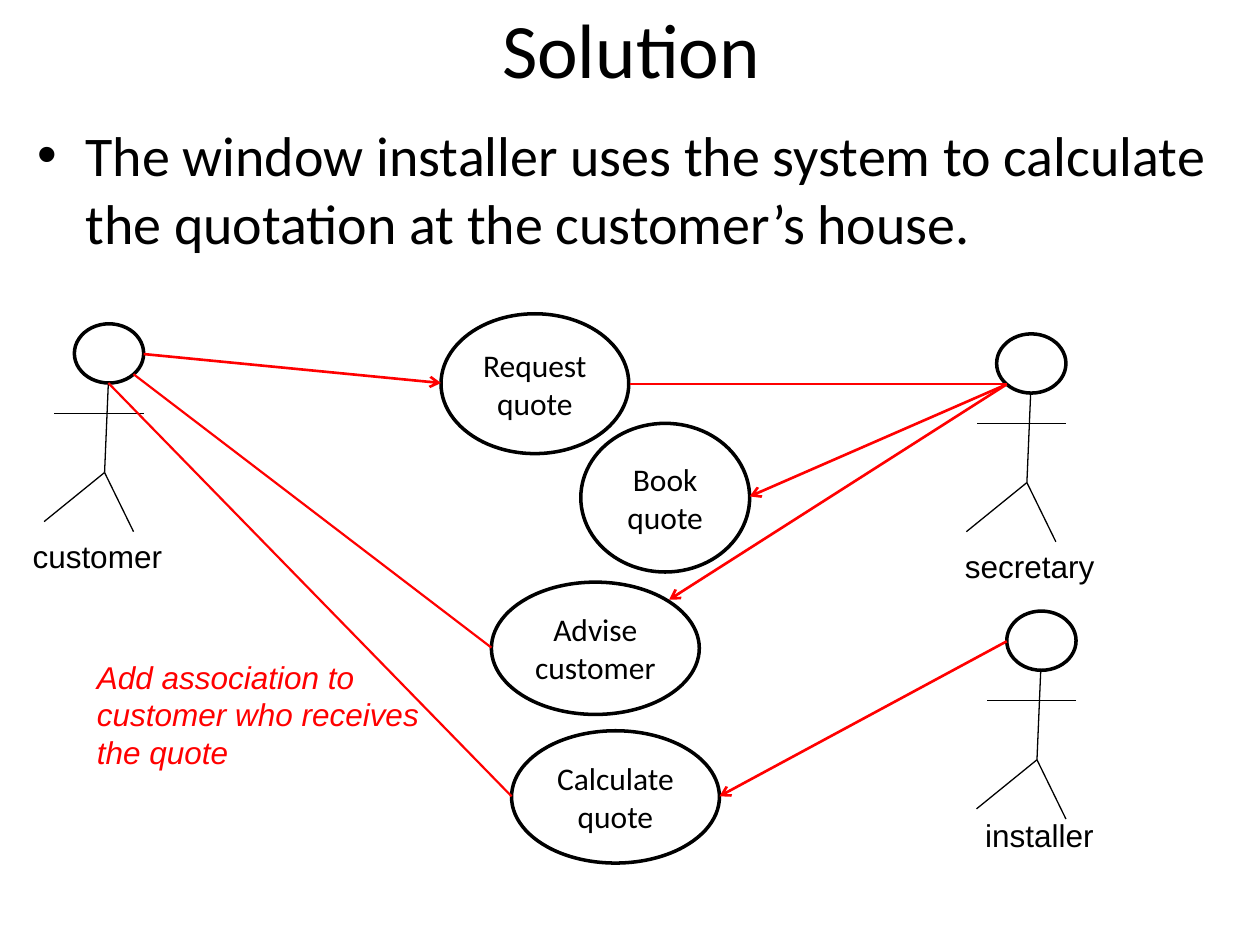
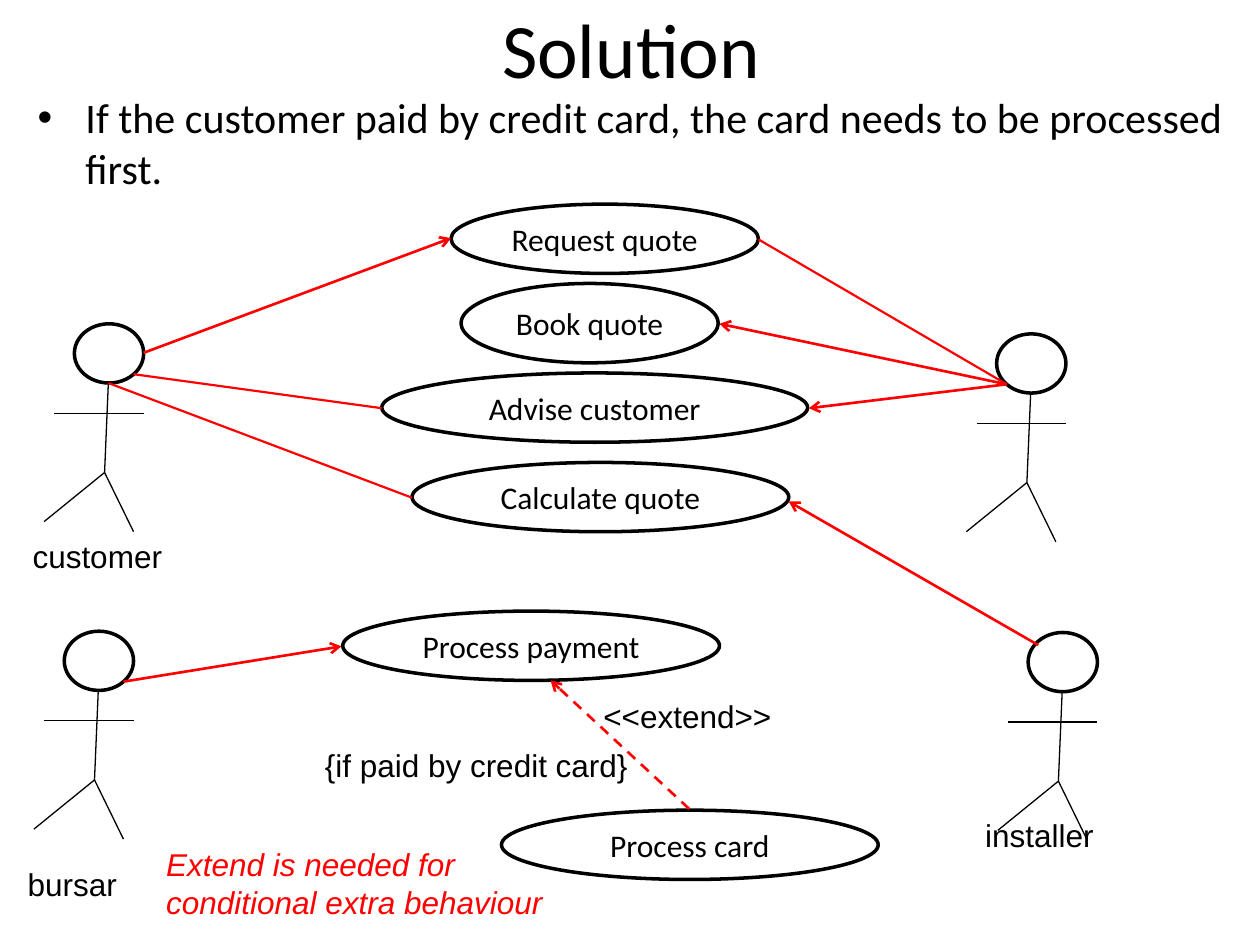
"""Build two use case slides for a window quote system."""
import lxml.etree
import pptx
import pptx.dml.color
import pptx.enum.dml
import pptx.enum.shapes
import pptx.enum.text
import pptx.oxml.ns
import pptx.util

Inches = pptx.util.Inches
Pt = pptx.util.Pt
RGB = pptx.dml.color.RGBColor.from_string
Kind = pptx.enum.shapes.MSO_SHAPE
Anchor = pptx.enum.text.MSO_ANCHOR
Align = pptx.enum.text.PP_ALIGN
qn = pptx.oxml.ns.qn

HUES = {"ink": "000000", "red": "FF0000", "page": "FFFFFF"}
HEAD = (0.55, 0.47)
LIMBS = [
    (0.27, 0.47, 0.24, 1.18),
    (0.55, 0.71, -0.16, 0.71),
    (0.24, 1.18, -0.24, 1.57),
    (0.24, 1.18, 0.47, 1.65),
]
SIDES = [(0.59, 2.57), (7.91, 2.65)]


def write(shape, text, size=18, face="Arial", hue="ink", align=Align.LEFT,
          anchor=Anchor.TOP, slant=False):
    frame = shape.text_frame
    frame.word_wrap = True
    frame.auto_size = pptx.enum.text.MSO_AUTO_SIZE.NONE
    frame.vertical_anchor = anchor
    frame.margin_left = frame.margin_right = Inches(0.1)
    frame.margin_top = frame.margin_bottom = Inches(0.05)
    para = frame.paragraphs[0]
    para.alignment = align
    run = para.add_run()
    run.text = text
    run.font.size = Pt(size)
    run.font.name = face
    run.font.italic = slant
    run.font.color.rgb = RGB(HUES[hue])
    return para


def link(shapes, ends, hue="red", width=1.25, arrow=False, dash=False):
    wire = shapes.add_connector(pptx.enum.shapes.MSO_CONNECTOR.STRAIGHT,
                                *[Inches(n) for n in ends])
    wire.line.color.rgb = RGB(HUES[hue])
    wire.line.width = Pt(width)
    if dash:
        wire.line.dash_style = pptx.enum.dml.MSO_LINE.DASH
    props = wire._element.spPr
    if arrow:
        tip = lxml.etree.SubElement(props.find(qn("a:ln")), qn("a:tailEnd"))
        tip.set("type", "arrow")
    lxml.etree.SubElement(props, qn("a:effectLst"))


SCENES = [
    {
        "point": ("The window installer uses the system to calculate the "
                  "quotation at the customer’s house.", 32, 0.91, 1.1, 6.4),
        "actors": SIDES + [(7.99, 4.85)],
        "cases": [
            ("Request quote", 3.5, 2.49, 1.49, 1.11),
            ("Book quote", 4.61, 3.36, 1.34, 1.18),
            ("Advise customer", 3.9, 4.62, 1.65, 1.05),
            ("Calculate quote", 4.06, 5.8, 1.65, 1.05),
        ],
        "labels": [
            ("customer", 0.16, 4.21, 1.45),
            ("secretary", 7.56, 4.29, 1.45),
            ("installer", 7.72, 6.43, 1.45),
        ],
        "note": ("Add association to customer who receives the quote",
                 0.67, 5.17, 3.15, 1),
        "lines": [
            (5, 3.05, 7.99, 3.05),
            (1.06, 2.97, 3.9, 5.14),
            (0.86, 3.04, 4.06, 6.32),
        ],
        "arrows": [
            (1.14, 2.81, 3.5, 3.04),
            (7.99, 3.05, 5.95, 3.94),
            (7.99, 3.05, 5.31, 4.76),
            (7.99, 5.09, 5.71, 6.32),
        ],
        "dashes": [],
    },
    {
        "point": ("If the customer paid by credit card, the card needs to be "
                  "processed first.", 24, 0.68, 0.63, 4.8),
        "actors": SIDES + [(0.51, 5.01), (8.16, 5.02)],
        "cases": [
            ("Request quote", 3.58, 1.62, 2.44, 0.55),
            ("Book quote", 3.66, 2.25, 2.04, 0.63),
            ("Advise customer", 3.03, 2.96, 3.38, 0.55),
            ("Calculate quote", 3.27, 3.67, 2.99, 0.55),
            ("Process payment", 2.72, 4.85, 2.99, 0.55),
            ("Process card", 3.98, 6.43, 2.99, 0.55),
        ],
        "labels": [
            ("customer", 0.16, 4.21, 1.45),
            ("<<extend>>", 4.69, 5.48, 1.57),
            ("installer", 7.72, 6.43, 1.45),
            ("bursar", 0.12, 6.82, 1.45),
            ("{if paid by credit card}", 2.48, 5.87, 2.83),
        ],
        "note": ("Extend is needed for conditional extra behaviour",
                 1.22, 6.66, 3.38, 0.7),
        "lines": [
            (6.02, 1.9, 7.99, 3.05),
            (1.06, 2.97, 3.03, 3.24),
            (0.86, 3.04, 3.27, 3.95),
        ],
        "arrows": [
            (1.14, 2.8, 3.58, 1.89),
            (7.99, 3.05, 5.71, 2.57),
            (7.99, 3.05, 6.42, 3.24),
            (0.98, 5.41, 2.71, 5.13),
            (8.24, 5.12, 6.26, 3.98),
        ],
        "dashes": [(5.47, 6.42, 4.37, 5.4)],
    },
]

deck = pptx.Presentation()
deck.slide_width = Inches(10)
deck.slide_height = Inches(7.5)

for scene in SCENES:
    slide = deck.slides.add_slide(deck.slide_layouts[5])
    slide.background.fill.solid()
    slide.background.fill.fore_color.rgb = RGB(HUES["page"])
    shapes = slide.shapes

    title = shapes.title
    title.left, title.top = Inches(0.51), Inches(0)
    title.width, title.height = Inches(9), Inches(0.75)
    write(title, "Solution", size=44, face="Calibri", align=Align.CENTER,
          anchor=Anchor.MIDDLE)

    text, size, top, high, gap = scene["point"]
    body = shapes.add_textbox(Inches(0.2), Inches(top), Inches(9.61), Inches(high))
    para = write(body, text, size=size, face="Calibri")
    para.space_before = Pt(gap)
    props = para._p.get_or_add_pPr()
    props.set("marL", str(Inches(0.38)))
    props.set("indent", str(Inches(-0.38)))
    lxml.etree.SubElement(props, qn("a:buFont")).set("typeface", "Arial")
    lxml.etree.SubElement(props, qn("a:buChar")).set("char", "•")

    ovals = []
    for x, y in scene["actors"]:
        group = shapes.add_group_shape()
        ovals.append(group.shapes.add_shape(
            Kind.OVAL, *[Inches(n) for n in (x, y, *HEAD)]))
        for x1, y1, x2, y2 in LIMBS:
            link(group.shapes, (x + x1, y + y1, x + x2, y + y2),
                 hue="ink", width=0.75)

    for text, *area in scene["cases"]:
        case = shapes.add_shape(Kind.OVAL, *[Inches(n) for n in area])
        write(case, text, face="Calibri", align=Align.CENTER,
              anchor=Anchor.MIDDLE)
        ovals.append(case)

    for oval in ovals:
        oval.shadow.inherit = False
        oval.fill.background()
        oval.line.color.rgb = RGB(HUES["ink"])
        oval.line.width = Pt(2)

    for ends in scene["lines"]:
        link(shapes, ends)
    for ends in scene["arrows"]:
        link(shapes, ends, width=1.5, arrow=True)
    for ends in scene["dashes"]:
        link(shapes, ends, width=1.5, arrow=True, dash=True)

    for text, *area in scene["labels"]:
        write(shapes.add_textbox(*[Inches(n) for n in (*area, 0.4)]), text)
    text, *area = scene["note"]
    write(shapes.add_textbox(*[Inches(n) for n in area]), text,
          hue="red", slant=True)

deck.save("out.pptx")
